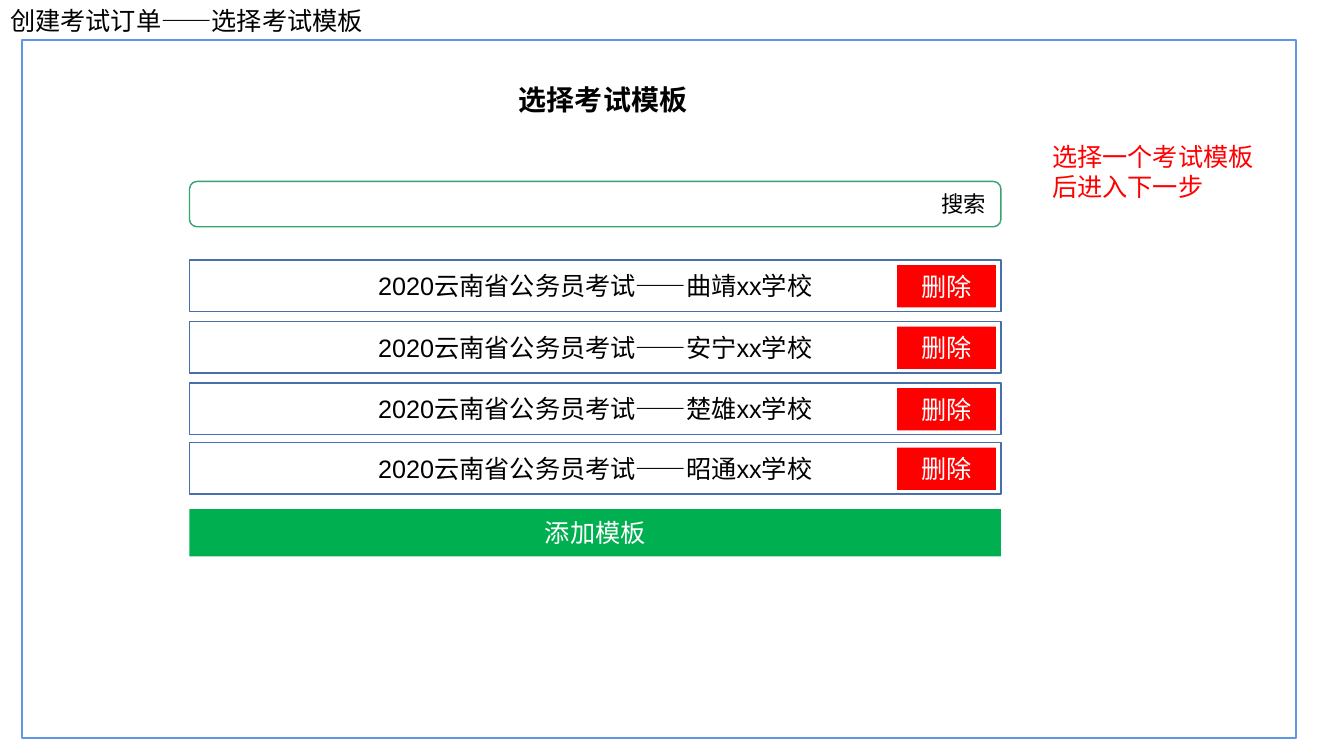
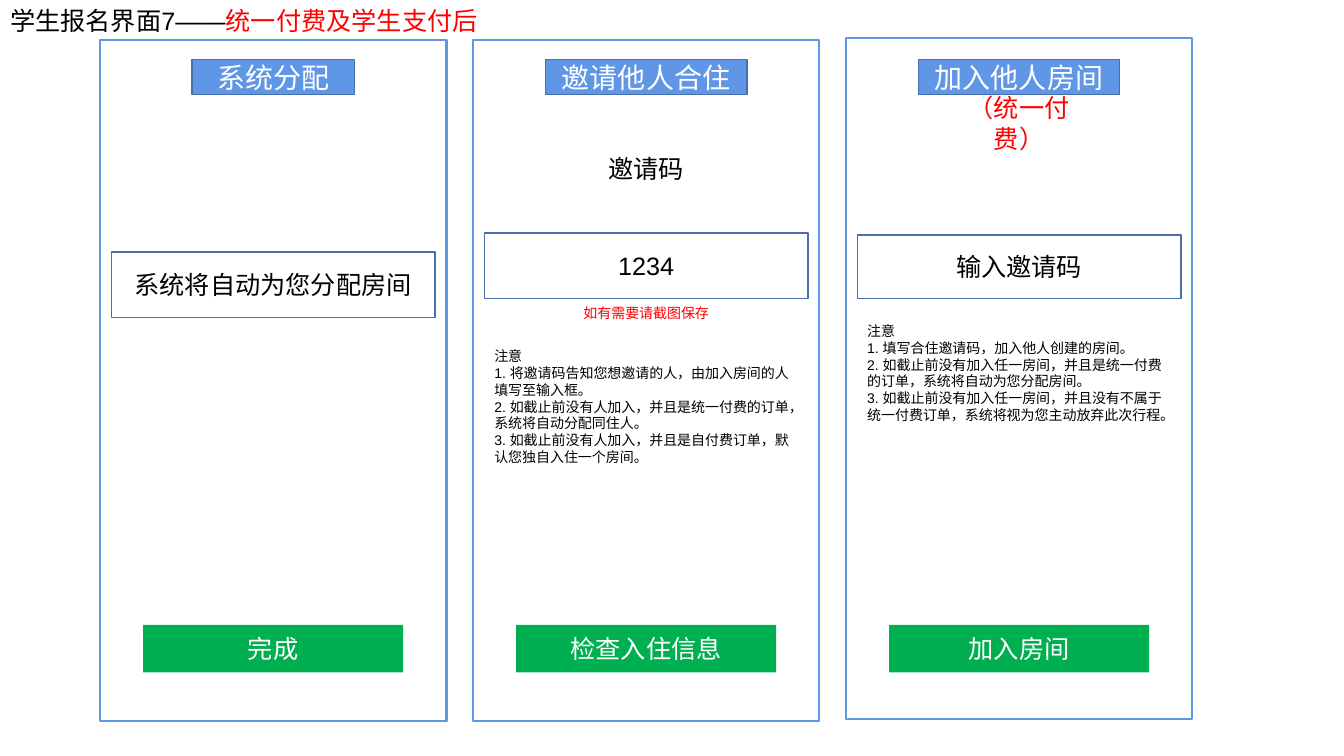
"""Build two wireframe slides: choosing an exam template and sharing a room."""

from dataclasses import dataclass, replace

from pptx import Presentation
from pptx.dml.color import RGBColor
from pptx.enum.lang import MSO_LANGUAGE_ID as Language
from pptx.enum.shapes import MSO_SHAPE as Preset
from pptx.enum.text import MSO_ANCHOR as Anchor, MSO_AUTO_SIZE as AutoSize, PP_ALIGN as Align
from pptx.slide import Slide
from pptx.text.text import TextFrame
from pptx.util import Pt

BLACK = RGBColor(0x00, 0x00, 0x00)
WHITE = RGBColor(0xFF, 0xFF, 0xFF)
RED = RGBColor(0xFF, 0x00, 0x00)
GREEN = RGBColor(0x00, 0xB0, 0x50)
SEARCH_GREEN = RGBColor(0x34, 0xA4, 0x71)
BLUE = RGBColor(0x60, 0x96, 0xE6)
DARK_BLUE = RGBColor(0x47, 0x6F, 0xAA)
FONT = "Arial"


@dataclass(frozen=True)
class TextStyle:
    """Look of a piece of text."""

    size: float = 18
    color: RGBColor = BLACK
    bold: bool = False
    align: Align = Align.CENTER
    anchor: Anchor = Anchor.MIDDLE
    wrap: bool = True


@dataclass(frozen=True)
class BoxStyle:
    """Look of a drawn box and its text."""

    fill: RGBColor | None = None
    line: RGBColor | None = None
    line_width: float = 1
    preset: Preset = Preset.RECTANGLE
    text: TextStyle = TextStyle()


@dataclass(frozen=True)
class Area:
    """Place of an element, in points."""

    left: float
    top: float
    width: float
    height: float

    def lengths(self) -> tuple[Pt, Pt, Pt, Pt]:
        """Return the four values as lengths."""
        return Pt(self.left), Pt(self.top), Pt(self.width), Pt(self.height)


@dataclass(frozen=True)
class Label:
    """Text centred in a phone column."""

    text: str
    top: float
    width: float
    height: float
    style: TextStyle


@dataclass(frozen=True)
class Phone:
    """One phone screen of the room sharing slide."""

    tab: str
    tab_width: float
    field: str
    field_top: float
    field_height: float
    button: str
    frame_top: float = 28.8
    labels: tuple[Label, ...] = ()


CENTERED = TextStyle()
WHITE_TEXT = TextStyle(color=WHITE)
RED_TEXT = TextStyle(color=RED)
TOP_LEFT = TextStyle(align=Align.LEFT, anchor=Anchor.TOP)
SMALL_NOTE = replace(TOP_LEFT, size=10)
SMALL_HINT = TextStyle(size=10, color=RED)

FRAME = BoxStyle(line=BLUE, line_width=1.5)
FIELD = BoxStyle(line=DARK_BLUE)
SEARCH = BoxStyle(line=SEARCH_GREEN, preset=Preset.ROUNDED_RECTANGLE)
TAB = BoxStyle(fill=BLUE, line=DARK_BLUE, text=TextStyle(size=20, color=WHITE))
ACTION = BoxStyle(fill=GREEN, text=WHITE_TEXT)
DELETE = BoxStyle(fill=RED, text=WHITE_TEXT)

LIST_LEFT, LIST_WIDTH = 135.36, 579.6
TEMPLATE_ROWS = (("曲靖", 185.76), ("安宁", 229.68), ("楚雄", 273.6), ("昭通", 316.08))

PHONE_LEFT, PHONE_STEP = 71.28, 266.4
PHONE_WIDTH, PHONE_HEIGHT = 247.68, 486
FIELD_WIDTH, BUTTON_WIDTH, LABEL_WIDTH = 231.12, 185.76, 115.92

INVITE_NOTES = """注意
1. 将邀请码告知您想邀请的人，由加入房间的人填写至输入框。
2. 如截止前没有人加入，并且是统一付费的订单，系统将自动分配同住人。
3. 如截止前没有人加入，并且是自付费订单，默认您独自入住一个房间。"""
JOIN_NOTES = """注意
1. 填写合住邀请码，加入他人创建的房间。
2. 如截止前没有加入任一房间，并且是统一付费的订单，系统将自动为您分配房间。
3. 如截止前没有加入任一房间，并且没有不属于统一付费订单，系统将视为您主动放弃此次行程。"""

PHONES = (
    Phone("系统分配", LABEL_WIDTH, "系统将自动为您分配房间", 180, 46.8, "完成"),
    Phone("邀请他人合住", 144, "1234", 166.32, 46.8, "检查入住信息", labels=(
        Label("邀请码", 97.2, FIELD_WIDTH, 46.8, CENTERED),
        Label("如有需要请截图保存", 213.12, LABEL_WIDTH, 20.88, SMALL_HINT),
        Label(INVITE_NOTES, 244.8, FIELD_WIDTH, 92.16, SMALL_NOTE),
    )),
    Phone("加入他人房间", 144, "输入邀请码", 167.76, 45.36, "加入房间", 27.36, (
        Label("（统一付费）", 67.68, LABEL_WIDTH, 40.32, RED_TEXT),
        Label(JOIN_NOTES, 226.8, FIELD_WIDTH, 79.92, SMALL_NOTE),
    )),
)


def write_text(frame: TextFrame, runs: list[tuple[str, RGBColor]], style: TextStyle) -> None:
    """Write coloured runs, starting a paragraph at each line break."""
    frame.word_wrap = style.wrap
    frame.auto_size = AutoSize.NONE
    frame.vertical_anchor = style.anchor
    paragraph = frame.paragraphs[0]
    paragraph.alignment = style.align
    for text, color in runs:
        for index, line in enumerate(text.split("\n")):
            if index:
                paragraph = frame.add_paragraph()
                paragraph.alignment = style.align
            run = paragraph.add_run()
            run.text = line
            run.font.name = FONT
            run.font.size = Pt(style.size)
            run.font.bold = style.bold
            run.font.color.rgb = color
            run.font.language_id = Language.SIMPLIFIED_CHINESE


def add_text(slide: Slide, area: Area, text: str, style: TextStyle) -> None:
    """Add a text box."""
    box = slide.shapes.add_textbox(*area.lengths())
    write_text(box.text_frame, [(text, style.color)], style)


def add_box(slide: Slide, area: Area, style: BoxStyle, text: str = "") -> None:
    """Add a preset shape with optional text."""
    shape = slide.shapes.add_shape(style.preset, *area.lengths())
    shape.shadow.inherit = False
    if style.fill is None:
        shape.fill.background()
    else:
        shape.fill.solid()
        shape.fill.fore_color.rgb = style.fill
    if style.line is None:
        shape.line.fill.background()
    else:
        shape.line.color.rgb = style.line
        shape.line.width = Pt(style.line_width)
    if text:
        write_text(shape.text_frame, [(text, style.text.color)], style.text)


def add_titled_slide(presentation, runs: list[tuple[str, RGBColor]], width: float, height: float) -> Slide:
    """Add a title-only slide with its title in the top left corner."""
    slide = presentation.slides.add_slide(presentation.slide_layouts[5])
    title = slide.shapes.title
    title.left, title.top, title.width, title.height = Area(0, 0, width, height).lengths()
    write_text(title.text_frame, runs, TOP_LEFT)
    return slide


def add_phone(slide: Slide, phone: Phone, left: float) -> None:
    """Draw a phone screen with everything centred in its column."""

    def centred(top: float, width: float, height: float) -> Area:
        """Return an area centred across the phone."""
        return Area(left + (PHONE_WIDTH - width) / 2, top, width, height)

    add_box(slide, centred(phone.frame_top, PHONE_WIDTH, PHONE_HEIGHT), FRAME)
    add_box(slide, centred(42.48, phone.tab_width, 25.2), TAB, phone.tab)
    add_box(slide, centred(phone.field_top, FIELD_WIDTH, phone.field_height), FIELD, phone.field)
    add_box(slide, centred(446.4, BUTTON_WIDTH, 33.84), ACTION, phone.button)
    for label in phone.labels:
        add_text(slide, centred(label.top, label.width, label.height), label.text, label.style)


def build_template_slide(presentation) -> None:
    """Build the slide for choosing an exam template."""
    slide = add_titled_slide(presentation, [("创建考试订单——选择考试模板", BLACK)], 270, 28.8)
    add_box(slide, Area(15.84, 28.8, 910.08, 498.24), FRAME)
    heading = replace(TOP_LEFT, size=20, bold=True, wrap=False)
    add_text(slide, Area(363.6, 55.44, 134.64, 31.68), "选择考试模板", heading)
    add_text(slide, Area(744.48, 97.2, 174.24, 51.12), "选择一个考试模板后进入下一步",
             replace(TOP_LEFT, color=RED))
    add_box(slide, Area(LIST_LEFT, 129.6, LIST_WIDTH, 32.4), SEARCH)
    add_text(slide, Area(665.28, 132.48, 46.08, 26.64), "搜索", replace(TOP_LEFT, size=16, wrap=False))
    for city, top in TEMPLATE_ROWS:
        add_box(slide, Area(LIST_LEFT, top, LIST_WIDTH, 36.72), FIELD, f"2020云南省公务员考试——{city}xx学校")
        add_box(slide, Area(640.8, top + 3.6, 70.56, 30.24), DELETE, "删除")
    add_box(slide, Area(LIST_LEFT, 363.6, LIST_WIDTH, 33.84), ACTION, "添加模板")


def build_room_slide(presentation) -> None:
    """Build the slide with the three room sharing screens."""
    runs = [("学生报名界面7——", BLACK), ("统一付费及学生支付后", RED)]
    slide = add_titled_slide(presentation, runs, 348.48, 51.12)
    for column, phone in enumerate(PHONES):
        add_phone(slide, phone, PHONE_LEFT + column * PHONE_STEP)


def main() -> None:
    """Build and save the presentation."""
    presentation = Presentation()
    presentation.slide_width, presentation.slide_height = Pt(960), Pt(540)
    build_template_slide(presentation)
    build_room_slide(presentation)
    presentation.save("out.pptx")


main()
